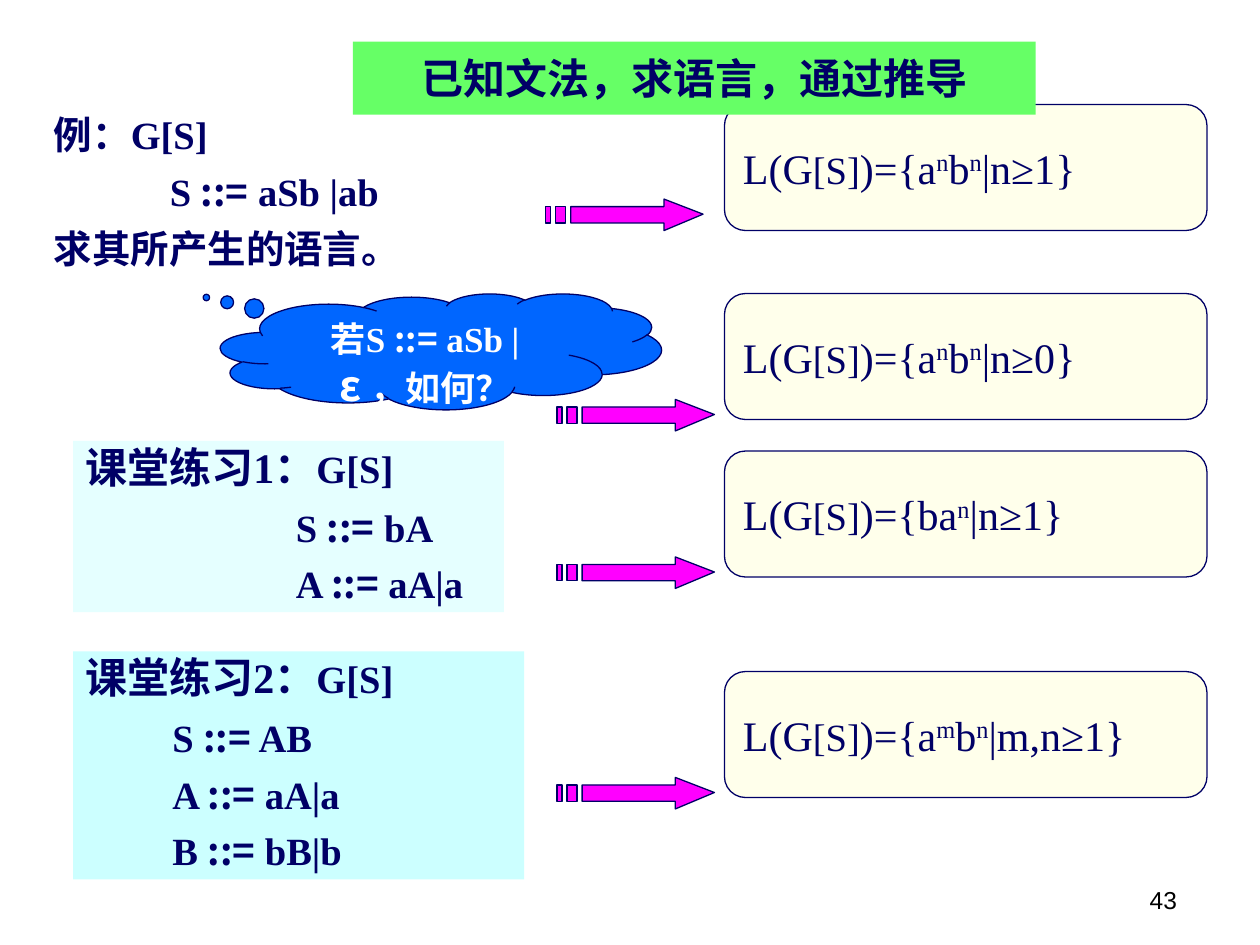
from pptx import Presentation
from pptx.dml.color import RGBColor
from pptx.enum.shapes import MSO_SHAPE as SHAPE
from pptx.enum.text import MSO_ANCHOR as ANCHOR, MSO_AUTO_SIZE as AUTO, PP_ALIGN as ALIGN
from pptx.oxml.ns import qn
from pptx.util import Inches, Pt
from lxml import etree

NAVY = RGBColor(0x00, 0x00, 0x66)
BLUE = RGBColor(0x00, 0x66, 0xFF)
GREEN = RGBColor(0x66, 0xFF, 0x66)
CREAM = RGBColor(0xFF, 0xFF, 0xEB)
CYAN = RGBColor(0xCC, 0xFF, 0xFF)
MAGENTA = RGBColor(0xFF, 0x00, 0xFF)
WHITE = RGBColor(0xFF, 0xFF, 0xFF)
BLACK = RGBColor(0x00, 0x00, 0x00)
SERIF, SANS, CJK = "Times New Roman", "Arial", "Noto Sans CJK SC"


def add_run(p, text, size, bold=True, color=NAVY, name=SERIF, raised=False):
    r = p.add_run()
    r.text = text
    for key, value in {"size": Pt(size), "bold": bold, "name": name}.items():
        setattr(r.font, key, value)
    r.font.color.rgb = color
    rPr = r._r.get_or_add_rPr()
    etree.SubElement(rPr, qn("a:ea")).set("typeface", CJK)
    if raised:
        rPr.set("baseline", "30000")


def paint(s, fill, line=None):
    s.shadow.inherit = False
    s.fill.solid()
    s.fill.fore_color.rgb = fill
    if line is None:
        s.line.fill.background()
    else:
        s.line.color.rgb = line
        s.line.width = Pt(0.75)


prs = Presentation()
prs.slide_width, prs.slide_height = Inches(10), Inches(7.5)
slide = prs.slides.add_slide(prs.slide_layouts[5])
shapes = slide.shapes

# Answers: rounded box with the language, and a striped arrow towards it
# box top, arrow left, arrow top, tail of the formula as (text, raised)
answers = [
    (0.83, 4.33, 1.58, [(")={a", 0), ("n", 1), ("b", 0), ("n", 1), ("|n≥1}", 0)]),
    (2.33, 4.42, 3.17, [(")={a", 0), ("n", 1), ("b", 0), ("n", 1), ("|n≥0}", 0)]),
    (3.58, 4.42, 4.42, [(")={ba", 0), ("n", 1), ("|n≥1}", 0)]),
    (5.33, 4.42, 6.17, [(")={a", 0), ("m", 1), ("b", 0), ("n", 1), ("|m,n≥1}", 0)]),
]
arrow_parts = [
    [(0.94, 0), (0.94, 0.06), (0.2, 0.06), (0.2, 0.19), (0.94, 0.19), (0.94, 0.25), (1.25, 0.12)],
    [(0.08, 0.06), (0.08, 0.19), (0.16, 0.19), (0.16, 0.06)],
    [(0, 0.06), (0, 0.19), (0.04, 0.19), (0.04, 0.06)],
]
for box_top, left, top, formula in answers:
    s = shapes.add_shape(SHAPE.FLOWCHART_ALTERNATE_PROCESS,
                         Inches(5.75), Inches(box_top), Inches(3.83), Inches(1))
    paint(s, CREAM, NAVY)
    tf = s.text_frame
    tf.word_wrap = False
    tf.vertical_anchor = ANCHOR.MIDDLE
    p = tf.paragraphs[0]
    p.alignment = ALIGN.LEFT
    add_run(p, "L(G", 24, bold=False)
    add_run(p, "[S]", 22, bold=False)
    for text, raised in formula:
        add_run(p, text, 24, bold=False, raised=raised)

    builder = None
    for part in arrow_parts:
        points = [(Inches(left + x), Inches(top + y)) for x, y in part]
        if builder is None:
            builder = shapes.build_freeform(*points[0])
        else:
            builder.move_to(*points[0])
        builder.add_line_segments(points[1:], close=True)
    paint(builder.convert_to_shape(), MAGENTA, NAVY)

# Title on a green rounded bar, in front of the first answer
title = shapes.title
title.left, title.top, title.width, title.height = (
    Inches(2.8), Inches(0.33), Inches(5.42), Inches(0.58))
geom = etree.SubElement(title._element.spPr, qn("a:prstGeom"))
geom.set("prst", "roundRect")
etree.SubElement(geom, qn("a:avLst"))
title.fill.solid()
title.fill.fore_color.rgb = GREEN
tf = title.text_frame
tf.auto_size = AUTO.NONE
tf.word_wrap = False
tf.vertical_anchor = ANCHOR.MIDDLE
p = tf.paragraphs[0]
p.alignment = ALIGN.CENTER
add_run(p, "已知文法，求语言，通过推导", 24)
shapes._spTree.append(title._element)

# Thought cloud
s = shapes.add_shape(SHAPE.CLOUD_CALLOUT, Inches(1.75), Inches(2.33), Inches(3.5), Inches(0.92))
s.adjustments[0], s.adjustments[1] = -0.532, -0.466
paint(s, BLUE, NAVY)
tf = s.text_frame
tf.word_wrap = True
tf.vertical_anchor = ANCHOR.TOP
p = tf.paragraphs[0]
p.alignment = ALIGN.CENTER
for text, size, name in [("若S ", 20, SERIF), ("::=", 20, CJK), (" aSb | ", 20, SERIF),
                         ("ε", 24, CJK), (" ，如何？", 20, SERIF)]:
    add_run(p, text, size, color=WHITE, name=name)

# Grammars: place, fill, opacity, heading, heading size, rule indent, lines
grammars = [
    ((0.33, 0.83, 4, 1.36), None, 100, "例：", 22, 0.92, ["S ::= aSb |ab", "求其所产生的语言。"]),
    ((0.58, 3.5, 3.42, 1.36), CYAN, 50, "课堂练习1：", 24, 1.67, ["S ::= bA", "A ::= aA|a"]),
    ((0.58, 5.17, 3.58, 1.81), CYAN, 100, "课堂练习2：", 24, 0.69,
     ["S ::= AB", "A ::= aA|a", "B ::= bB|b"]),
]
for place, fill, opacity, heading, size, indent, lines in grammars:
    place = [Inches(v) for v in place]
    if fill is None:
        s = shapes.add_textbox(*place)
    else:
        s = shapes.add_shape(SHAPE.RECTANGLE, *place)
        paint(s, fill)
    if opacity < 100:
        clr = s._element.spPr.find(qn("a:solidFill"))[0]
        etree.SubElement(clr, qn("a:alpha")).set("val", str(opacity * 1000))
    tf = s.text_frame
    tf.word_wrap = True
    tf.vertical_anchor = ANCHOR.TOP
    p = tf.paragraphs[0]
    p.alignment = ALIGN.LEFT
    if fill is not None:
        p.line_spacing = 0.9
    add_run(p, heading, size)
    add_run(p, "G[S]", 22)
    for line in lines:
        p = tf.add_paragraph()
        p.alignment = ALIGN.LEFT
        p.line_spacing = 0.7
        p.space_before = Pt(13.8)
        left_side, sign, right_side = line.partition("::=")
        add_run(p, left_side, 22)
        if sign:
            p._p.get_or_add_pPr().set("marL", str(Inches(indent)))
            add_run(p, sign, 22, name=CJK)
            add_run(p, right_side, 22)

# Slide number
s = shapes.add_textbox(Inches(7.36), Inches(6.81), Inches(2.08), Inches(0.5))
tf = s.text_frame
tf.word_wrap = True
tf.vertical_anchor = ANCHOR.BOTTOM
p = tf.paragraphs[0]
p.alignment = ALIGN.RIGHT
add_run(p, "43", 14, bold=False, color=BLACK, name=SANS)

prs.save("out.pptx")
